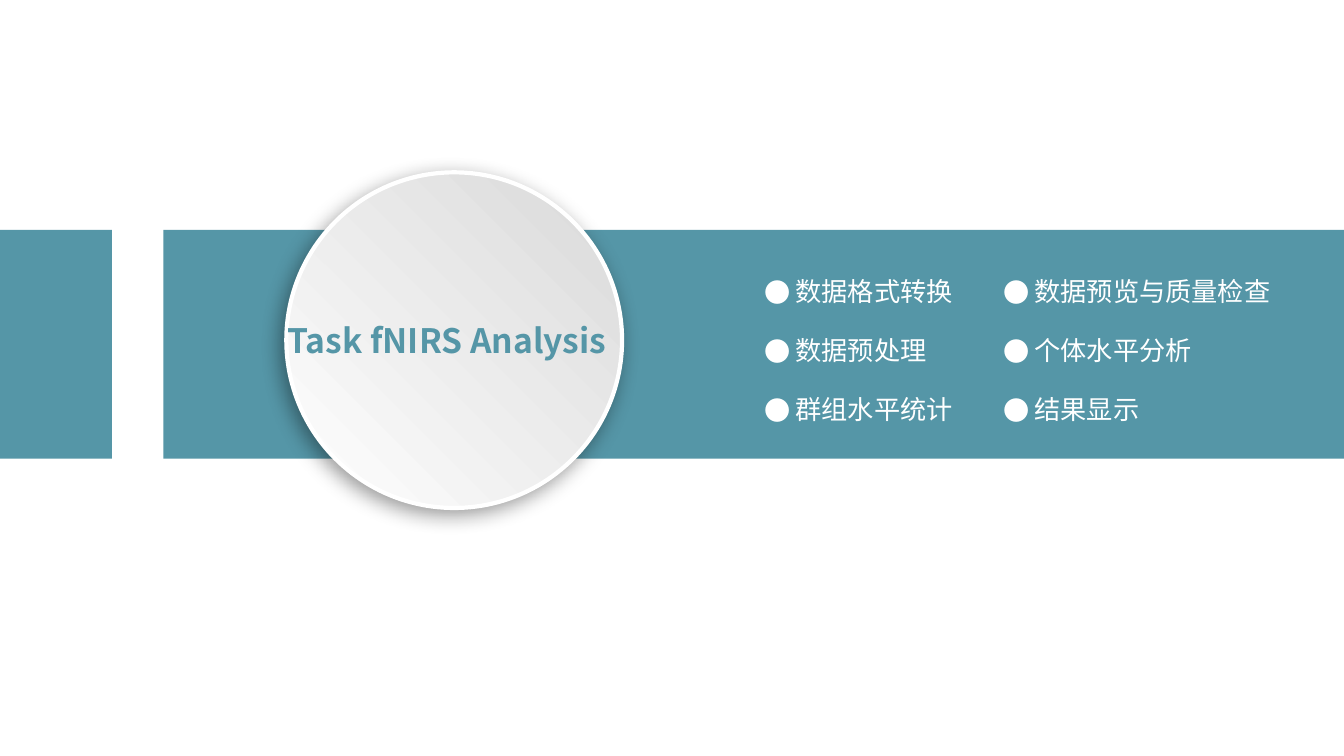
from dataclasses import dataclass

from lxml.etree import SubElement
from pptx import Presentation
from pptx.dml.color import RGBColor
from pptx.enum.shapes import MSO_SHAPE as SHAPE
from pptx.enum.text import MSO_ANCHOR as ANCHOR, MSO_AUTO_SIZE as AUTO, PP_ALIGN as ALIGN
from pptx.oxml.ns import qn
from pptx.util import Emu, Inches, Pt

FONT = "Noto Sans CJK SC"
COLORS = {"teal": "5596A7", "white": "FFFFFF", "grey": "D9D9D9", "shadow": "000000"}
INDENT = Inches(0.31)
ROW_GAP = Pt(19.7)


@dataclass
class Band:
    left: float
    width: float


@dataclass
class Topics:
    left: float
    width: float
    items: tuple[str, ...]


BANDS = [Band(0, 1.11), Band(1.62, 11.71)]
COLUMNS = [
    Topics(7.48, 2.08, ("数据格式转换", "数据预处理", "群组水平统计")),
    Topics(9.85, 2.87, ("数据预览与质量检查", "个体水平分析", "结果显示")),
]


def rgb(name: str) -> RGBColor:
    """Look up a named colour."""
    return RGBColor.from_string(COLORS[name])


def place(sp, left: float, top: float, width: float, height: float) -> None:
    """Move a placeholder to the front and prepare its text frame."""
    sp.left, sp.top = Inches(left), Inches(top)
    sp.width, sp.height = Inches(width), Inches(height)
    tree = sp.element.getparent()
    tree.append(sp.element)
    tf = sp.text_frame
    tf.auto_size, tf.word_wrap = AUTO.NONE, True
    tf.vertical_anchor = ANCHOR.MIDDLE
    tf.margin_left = tf.margin_right = Inches(0.1)
    tf.margin_top = tf.margin_bottom = Emu(0)


def add_run(p, text: str, size: float, color: str, bold: bool = False) -> None:
    """Add one formatted run to a left-aligned paragraph."""
    p.alignment, p.line_spacing = ALIGN.LEFT, 1.0
    r = p.add_run()
    r.text = text
    r.font.size, r.font.bold, r.font.name = Pt(size), bold, FONT
    r.font.color.rgb = rgb(color)
    SubElement(r.font._element, qn("a:ea"), typeface=FONT)


def add_band(s, band: Band) -> None:
    """Draw one part of the horizontal band."""
    sp = s.shapes.add_shape(SHAPE.RECTANGLE, Inches(band.left), Inches(2.28),
                            Inches(band.width), Inches(2.27))
    sp.shadow.inherit = False
    sp.fill.solid()
    sp.fill.fore_color.rgb = rgb("teal")
    sp.line.fill.background()


def add_disc(s) -> None:
    """Draw the shaded disc behind the title."""
    sp = s.shapes.add_shape(SHAPE.OVAL, Inches(2.84), Inches(1.71), Inches(3.33), Inches(3.33))
    sp.fill.gradient()
    sp.fill.gradient_angle = 45
    for stop, name in zip(sp.fill.gradient_stops, ("white", "grey")):
        stop.color.rgb = rgb(name)
    sp.line.color.rgb = rgb("white")
    sp.line.width = Pt(3)
    sp.shadow.inherit = False
    effects = sp.element.spPr.find(qn("a:effectLst"))
    shadow = SubElement(effects, qn("a:outerShdw"), blurRad=str(Pt(15)), dist=str(Pt(5)),
                        dir="8100000", algn="tr", rotWithShape="0")
    color = SubElement(shadow, qn("a:srgbClr"), val=COLORS["shadow"])
    SubElement(color, qn("a:alpha"), val="40000")


def fill_topics(sp, topics: Topics) -> None:
    """Fill a body placeholder with one column of bulleted topics."""
    place(sp, topics.left, 2.61, topics.width, 1.72)
    tf = sp.text_frame
    for i, item in enumerate(topics.items):
        p = tf.add_paragraph() if i else tf.paragraphs[0]
        p.space_before, p.space_after = ROW_GAP if i else Pt(0), Pt(0)
        pr = p._p.get_or_add_pPr()
        pr.set("marL", str(INDENT))
        pr.set("indent", str(-INDENT))
        add_run(p, item, 18.7, "white")
        SubElement(pr, qn("a:buFont"), typeface=FONT)
        SubElement(pr, qn("a:buChar"), char="●")


def main() -> None:
    """Build and save the slide."""
    prs = Presentation()
    prs.slide_width, prs.slide_height = Inches(13.33), Inches(7.5)
    s = prs.slides.add_slide(prs.slide_layouts.get_by_name("Two Content"))
    for band in BANDS:
        add_band(s, band)
    add_disc(s)
    title, *bodies = s.placeholders
    place(title, 2.75, 3.12, 3.5, 0.5)
    add_run(title.text_frame.paragraphs[0], "Task fNIRS Analysis", 24, "teal", True)
    for body, topics in zip(bodies, COLUMNS):
        fill_topics(body, topics)
    prs.save("out.pptx")


if __name__ == "__main__":
    main()
